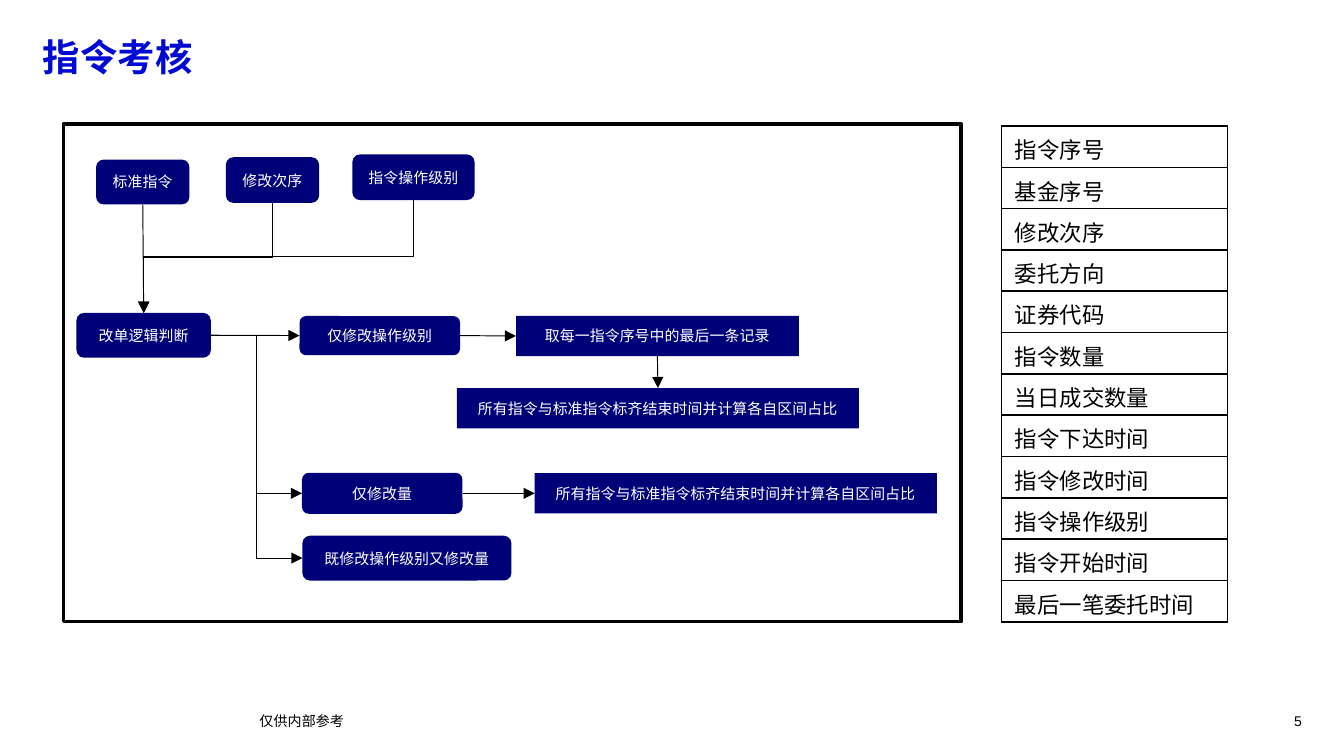
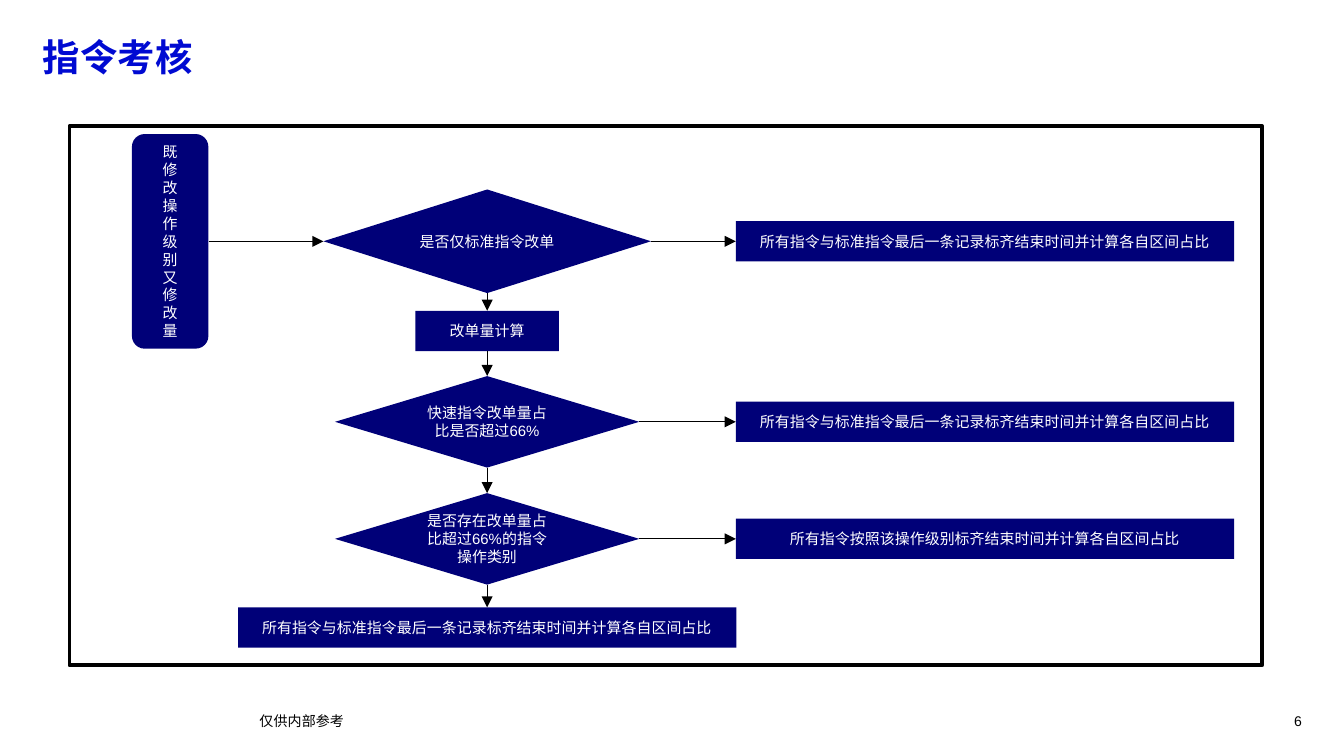
from dataclasses import dataclass

from lxml.etree import SubElement
from pptx import Presentation
from pptx.dml.color import RGBColor
from pptx.enum.shapes import MSO_CONNECTOR as Link, MSO_SHAPE as Shape
from pptx.enum.text import MSO_ANCHOR as Anchor, PP_ALIGN as Align
from pptx.oxml.ns import qn
from pptx.util import Pt

TOP, LEFT, BOTTOM, RIGHT = range(4)
TITLE_ONLY = 5


@dataclass(frozen=True)
class Theme:
    font: str = "Arial"
    title: str = "000AD2"
    node: str = "000078"
    ink: str = "000000"
    paper: str = "FFFFFF"
    title_size: float = 20
    table_size: float = 12
    node_size: float = 8
    footer_size: float = 7.5
    frame_width: float = 2
    border_width: float = 1
    arrow_width: float = 0.5


class Deck:
    def __init__(self, theme):
        self.theme = theme
        self.presentation = Presentation()
        self.presentation.slide_width = Pt(720)
        self.presentation.slide_height = Pt(405)
        self.slide = None

    def fill_text(self, frame, text, size, color, align=Align.LEFT, bold=False):
        frame.text = text
        frame.word_wrap = True
        for paragraph in frame.paragraphs:
            paragraph.alignment = align
            for run in paragraph.runs:
                run.font.name = self.theme.font
                run.font.size = Pt(size)
                run.font.bold = bold
                run.font.color.rgb = RGBColor.from_string(color)

    def clear_margins(self, frame):
        frame.margin_left = frame.margin_right = 0
        frame.margin_top = frame.margin_bottom = 0

    def new_slide(self, title, number):
        layout = self.presentation.slide_layouts[TITLE_ONLY]
        self.slide = self.presentation.slides.add_slide(layout)
        heading = self.slide.shapes.title
        heading.left, heading.top = Pt(23), Pt(21)
        heading.width, heading.height = Pt(675), Pt(29.5)
        frame = heading.text_frame
        self.clear_margins(frame)
        frame.vertical_anchor = Anchor.TOP
        self.fill_text(frame, title, self.theme.title_size, self.theme.title, bold=True)
        frame.paragraphs[0].line_spacing = 0.9
        self.footer("仅供内部参考", 139, 255, Align.LEFT)
        self.footer(str(number), 669.5, 28, Align.RIGHT)

    def footer(self, text, left, width, align):
        note = self.slide.shapes.add_textbox(Pt(left), Pt(381.5), Pt(width), Pt(11))
        self.clear_margins(note.text_frame)
        self.fill_text(note.text_frame, text, self.theme.footer_size, self.theme.ink, align)

    def frame(self, left, top, width, height, filled):
        border = self.slide.shapes.add_shape(
            Shape.RECTANGLE, Pt(left), Pt(top), Pt(width), Pt(height))
        border.shadow.inherit = False
        if filled:
            border.fill.solid()
            border.fill.fore_color.rgb = RGBColor.from_string(self.theme.paper)
        else:
            border.fill.background()
        border.line.color.rgb = RGBColor.from_string(self.theme.ink)
        border.line.width = Pt(self.theme.frame_width)

    def node(self, text, center_x, center_y, width, height=21.6, kind=Shape.RECTANGLE):
        node = self.slide.shapes.add_shape(
            kind, Pt(center_x - width / 2), Pt(center_y - height / 2), Pt(width), Pt(height))
        node.shadow.inherit = False
        node.fill.solid()
        node.fill.fore_color.rgb = RGBColor.from_string(self.theme.node)
        node.line.fill.background()
        node.text_frame.vertical_anchor = Anchor.MIDDLE
        self.fill_text(node.text_frame, text, self.theme.node_size, self.theme.paper,
                       Align.CENTER)
        return node

    def arrow(self, source, target, start=RIGHT, end=LEFT, kind=Link.STRAIGHT):
        arrow = self.slide.shapes.add_connector(kind, 0, 0, 0, 0)
        arrow.begin_connect(source, start)
        arrow.end_connect(target, end)
        if kind == Link.ELBOW and start == BOTTOM:
            self.turn_down(arrow)
        arrow.line.color.rgb = RGBColor.from_string(self.theme.ink)
        arrow.line.width = Pt(self.theme.arrow_width)
        properties = arrow._element.spPr
        SubElement(properties.find(qn("a:ln")), qn("a:tailEnd"), type="triangle")
        SubElement(properties, qn("a:effectLst"))

    def turn_down(self, arrow):
        left, top, width, height = arrow.left, arrow.top, arrow.width, arrow.height
        arrow.left = left + (width - height) // 2
        arrow.top = top + (height - width) // 2
        arrow.width, arrow.height = height, width
        transform = arrow._element.spPr.find(qn("a:xfrm"))
        transform.attrib.pop("flipH", None)
        transform.set("rot", "5400000")

    def field_table(self, fields, left, top, width, row_height):
        table = self.slide.shapes.add_table(
            len(fields), 1, Pt(left), Pt(top), Pt(width), Pt(row_height * len(fields))).table
        table.first_row = table.horz_banding = False
        for row, field in zip(table.rows, fields):
            row.height = Pt(row_height)
            cell = row.cells[0]
            self.fill_text(cell.text_frame, field, self.theme.table_size, self.theme.ink)
            self.outline(cell)
            cell.fill.background()

    def outline(self, cell):
        properties = cell._tc.get_or_add_tcPr()
        for side in ("lnL", "lnR", "lnT", "lnB"):
            border = SubElement(properties, qn(f"a:{side}"), w=str(Pt(self.theme.border_width)))
            fill = SubElement(border, qn("a:solidFill"))
            SubElement(fill, qn("a:srgbClr"), val=self.theme.ink)


def classify_changes(deck):
    deck.new_slide("指令考核", 5)
    deck.frame(34, 66.5, 481, 266.5, filled=True)

    rounded = Shape.ROUNDED_RECTANGLE
    standard = deck.node("标准指令", 76.5, 97.5, 50, 24, rounded)
    sequence = deck.node("修改次序", 146, 96.5, 50, 24.5, rounded)
    level = deck.node("指令操作级别", 221.5, 95, 65.5, 24.5, rounded)
    decision = deck.node("改单逻辑判断", 77, 179.6, 72, 24, rounded)
    level_only = deck.node("仅修改操作级别", 203.5, 179.8, 86, 21, rounded)
    amount_only = deck.node("仅修改量", 204.8, 264.3, 86, 22, rounded)
    both = deck.node("既修改操作级别又修改量", 218, 299, 112, 24, rounded)
    last_record = deck.node("取每一指令序号中的最后一条记录", 352.2, 180, 151.5)
    align_end = "所有指令与标准指令标齐结束时间并计算各自区间占比"
    level_result = deck.node(align_end, 352.5, 218.7, 215.5)
    amount_result = deck.node(align_end, 394.2, 264.3, 215.5)

    deck.arrow(standard, decision, BOTTOM, TOP)
    for factor in (sequence, level):
        deck.arrow(factor, decision, BOTTOM, TOP, Link.ELBOW)
    deck.arrow(decision, level_only)
    for change in (amount_only, both):
        deck.arrow(decision, change, kind=Link.ELBOW)
    deck.arrow(level_only, last_record)
    deck.arrow(last_record, level_result, BOTTOM, TOP)
    deck.arrow(amount_only, amount_result)

    fields = ["指令序号", "基金序号", "修改次序", "委托方向", "证券代码", "指令数量",
              "当日成交数量", "指令下达时间", "指令修改时间", "指令操作级别",
              "指令开始时间", "最后一笔委托时间"]
    deck.field_table(fields, 536.5, 67.5, 121, 22.14)


def judge_both_changed(deck):
    deck.new_slide("指令考核", 6)
    column, outcomes, outcome_width = 261, 527.7, 267
    align_last = "所有指令与标准指令最后一条记录标齐结束时间并计算各自区间占比"
    align_level = "所有指令按照该操作级别标齐结束时间并计算各自区间占比"

    both = deck.node("\n".join("既修改操作级别又修改量"), 91.2, 129.3, 41, 115,
                     Shape.ROUNDED_RECTANGLE)
    standard_only = deck.node("是否仅标准指令改单", column, 129.3, 175.5, 55.5, Shape.DIAMOND)
    amount = deck.node("改单量计算", column, 177.3, 77)
    fast_share = deck.node("快速指令改单量占比是否超过66%", column, 226, 163, 49, Shape.DIAMOND)
    level_share = deck.node("是否存在改单量占比超过66%的指令操作类别", column, 288.7, 163, 49,
                            Shape.DIAMOND)
    fallback = deck.node(align_last, column, 336.2, outcome_width)

    deck.arrow(both, standard_only, kind=Link.ELBOW)
    steps = [standard_only, amount, fast_share, level_share, fallback]
    for step, following in zip(steps, steps[1:]):
        deck.arrow(step, following, BOTTOM, TOP)
    for question, center_y, result in ((standard_only, 129.3, align_last),
                                       (fast_share, 226, align_last),
                                       (level_share, 288.7, align_level)):
        deck.arrow(question, deck.node(result, outcomes, center_y, outcome_width))

    deck.frame(37.2, 67.6, 639, 288.8, filled=False)


def main():
    deck = Deck(Theme())
    classify_changes(deck)
    judge_both_changed(deck)
    deck.presentation.save("out.pptx")


if __name__ == "__main__":
    main()
